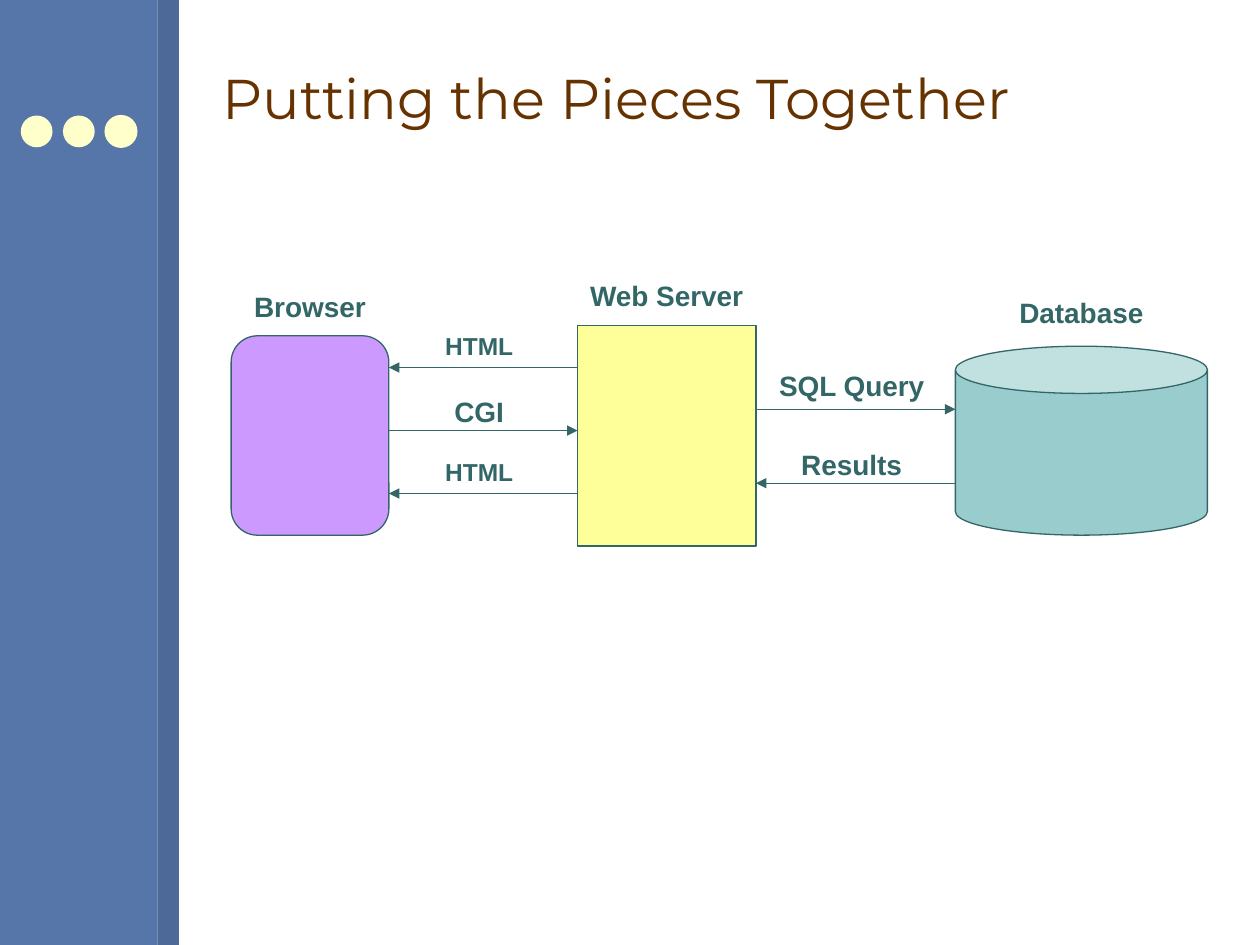
import pptx
import pptx.dml.color
import pptx.enum.shapes
import pptx.enum.text
import pptx.oxml
import pptx.util
from pptx.oxml.ns import qn

Cm = pptx.util.Cm
SHAPES = pptx.enum.shapes.MSO_SHAPE
ALIGN = pptx.enum.text.PP_ALIGN
ANCHOR = pptx.enum.text.MSO_ANCHOR
INK = "336666"
LINE_WIDTH = pptx.util.Pt(0.74)


def color(value):
    """Turn a hex string into a colour."""
    return pptx.dml.color.RGBColor.from_string(value)


def add_block(slide, kind, box, fill, outline=None):
    """Add a filled preset shape, outlined if a colour is given."""
    shape = slide.shapes.add_shape(kind, *map(Cm, box))
    shape.shadow.inherit = False
    shape.fill.solid()
    shape.fill.fore_color.rgb = color(fill)
    if outline:
        shape.line.color.rgb = color(outline)
        shape.line.width = LINE_WIDTH
    else:
        shape.line.fill.background()
    return shape


def add_text(slide, box, text, size, font="Arial", ink=INK, bold=True,
             align=ALIGN.CENTER, anchor=ANCHOR.TOP, wrap=False):
    """Add a text box holding one run."""
    frame = slide.shapes.add_textbox(*map(Cm, box)).text_frame
    frame.word_wrap = wrap
    frame.vertical_anchor = anchor
    paragraph = frame.paragraphs[0]
    paragraph.alignment = align
    run = paragraph.add_run()
    run.text = text
    run.font.name = font
    run.font.size = pptx.util.Pt(size)
    run.font.bold = bold
    run.font.color.rgb = color(ink)


def add_arrow(slide, start, end, y):
    """Add a horizontal arrow pointing at its end."""
    connector = slide.shapes.add_connector(
        pptx.enum.shapes.MSO_CONNECTOR.STRAIGHT, Cm(start), Cm(y), Cm(end), Cm(y))
    connector.line.color.rgb = color(INK)
    connector.line.width = LINE_WIDTH
    head = pptx.oxml.parse_xml(
        '<a:tailEnd xmlns:a="http://schemas.openxmlformats.org/drawingml/2006/main" type="triangle"/>')
    connector.line._get_or_add_ln().append(head)
    properties = connector._element.spPr
    properties.append(properties.makeelement(qn("a:effectLst"), {}))


def add_sidebar(slide, left, top, width, height):
    """Draw the side panel with its edge strip and three dots."""
    strip = 0.43
    panel = width - strip
    add_block(slide, SHAPES.RECTANGLE, (left, top, panel, height), "5675A9")
    add_block(slide, SHAPES.RECTANGLE, (left + panel, top, strip, height), "4D6997")
    dot, pitch = 0.64, 0.85
    for index in range(3):
        outline = "FFFFCC" if index == 2 else None
        box = (left + 0.42 + index * pitch, top + 2.33, dot, dot)
        add_block(slide, SHAPES.OVAL, box, "FFFFCC", outline)


def add_title(slide, left, top, width, height):
    """Write the slide title."""
    add_text(slide, (left, top, width, height), "Putting the Pieces Together", 32,
             "Montserrat", "663300", False, ALIGN.LEFT, ANCHOR.MIDDLE, True)


def add_diagram(slide, left, top, width, height):
    """Draw the three parts of the system and the messages between them."""
    server_left, server_width = 6.98, 3.6
    browser_width, database_width = 3.18, 5.08
    database_left = width - database_width
    nodes = [
        ("Browser", SHAPES.ROUNDED_RECTANGLE, 0, 0.21, browser_width, 4.02, "CC99FF", 1.06),
        ("Web Server", SHAPES.RECTANGLE, server_left, 0, server_width, height, "FFFF99", 1.06),
        ("Database", SHAPES.CAN, database_left, 0.42, database_width, 3.81, "99CCCC", 1.14),
    ]
    for name, kind, x, y, node_width, node_height, fill, lift in nodes:
        box = (left + x, top + y, node_width, node_height)
        shape = add_block(slide, kind, box, fill, INK)
        if kind == SHAPES.CAN:
            shape.adjustments[0] = 0.25
        add_text(slide, (left + x, top + y - lift, node_width, 0.94), name, 16)

    server_right = server_left + server_width
    messages = [
        ("HTML", server_left, browser_width, 0.85, 14, 0.86),
        ("CGI", browser_width, server_left, 2.12, 16, 0.86),
        ("HTML", server_left, browser_width, 3.39, 14, 0.86),
        ("SQL Query", server_right, database_left, 1.69, 16, 0.94),
        ("Results", database_left, server_right, 3.18, 16, 0.85),
    ]
    for text, start, end, y, size, lift in messages:
        add_arrow(slide, left + start, left + end, top + y)
        box = (left + min(start, end) - 0.08, top + y - lift, abs(end - start), 0.94)
        add_text(slide, box, text, size)


def main():
    """Build and save the presentation."""
    presentation = pptx.Presentation()
    presentation.slide_width = Cm(25.4)
    presentation.slide_height = Cm(19.05)
    slide = presentation.slides.add_slide(presentation.slide_layouts[6])
    add_sidebar(slide, 0, 0, 3.61, 19.05)
    add_title(slide, 4.23, 0.53, 20.32, 2.87)
    add_diagram(slide, 4.66, 6.56, 19.68, 4.45)
    presentation.save("out.pptx")


main()
